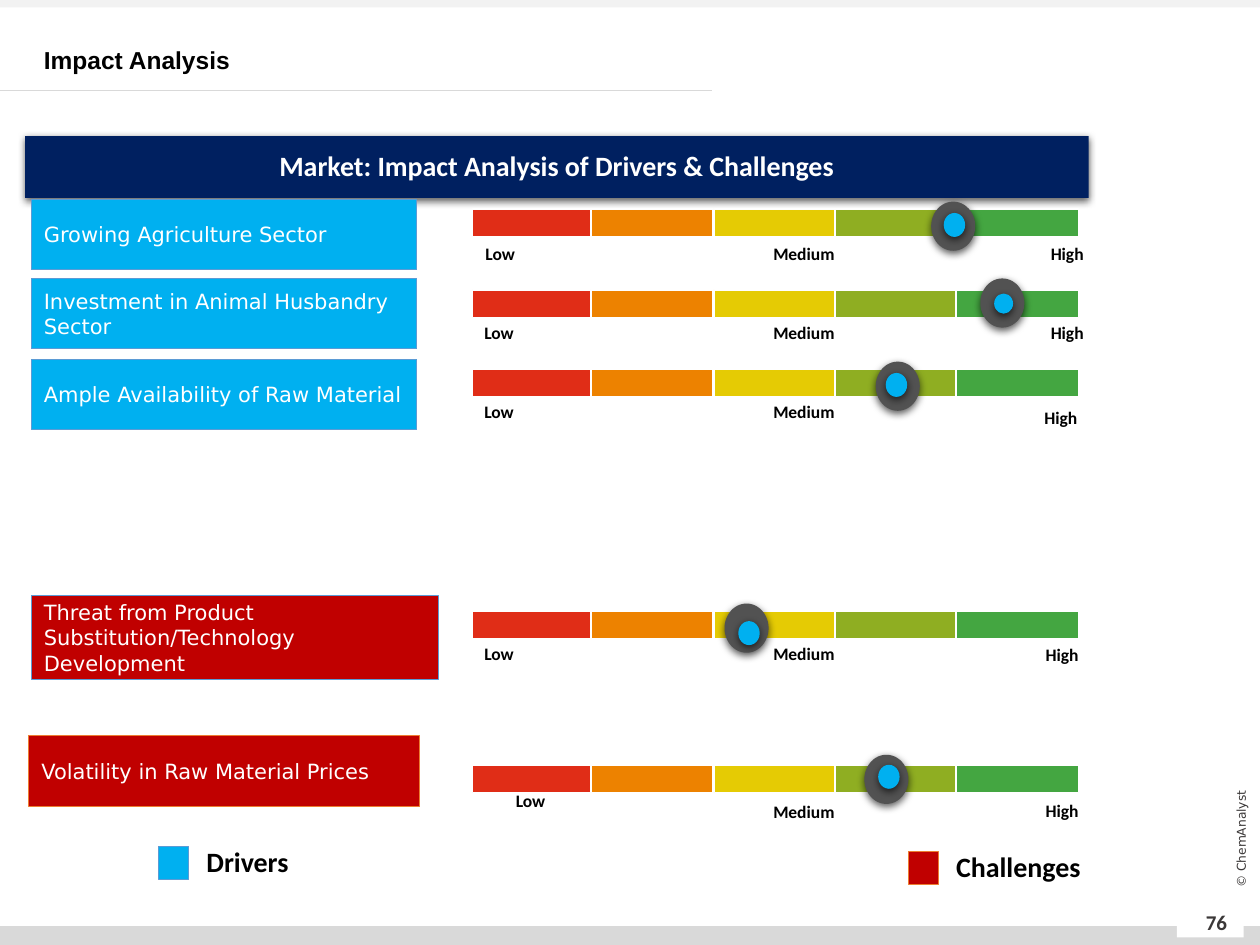
from lxml import etree
from pptx import Presentation
from pptx.dml.color import RGBColor
from pptx.enum import shapes, text
from pptx.oxml.ns import qn
from pptx.util import Inches, Pt

BLUE, RED, NAVY = "00B0F0", "C00000", "002060"
BLUE_EDGE, ORANGE_EDGE = "5B9BD5", "ED7D31"
SANS, BODY = "DejaVu Sans", "Calibri"
RECT, OVAL = shapes.MSO_SHAPE.RECTANGLE, shapes.MSO_SHAPE.OVAL
LEFT, CENTER = text.PP_ALIGN.LEFT, text.PP_ALIGN.CENTER
TOP, MIDDLE = text.MSO_ANCHOR.TOP, text.MSO_ANCHOR.MIDDLE

BAR_COLORS = ["E02D17", "ED8200", "E5CB04", "8FAE22", "44A641"]
BAR_LEFT, BAR_STEP, BAR_W, BAR_H = 3.75, 0.96, 0.97, 0.22
SCALE = ["Low", "Medium", "High"]

# factor, fill, edge, box, bar top, scale label positions, marker, marker centre
ROWS = [
    ("Growing Agriculture Sector", BLUE, BLUE_EDGE, (0.25, 1.58, 3.06, 0.56), 1.66,
     [(3.6, 1.88), (6.01, 1.88), (8.1, 1.88)], (7.39, 1.6), (7.49, 1.69, 0.17, 0.19)),
    ("Investment in Animal Husbandry Sector", BLUE, BLUE_EDGE, (0.25, 2.21, 3.06, 0.56), 2.3,
     [(3.59, 2.51), (6.01, 2.51), (8.1, 2.51)], (7.78, 2.21), (7.89, 2.33, 0.15, 0.16)),
    ("Ample Availability of Raw Material", BLUE, BLUE_EDGE, (0.25, 2.85, 3.06, 0.56), 2.93,
     [(3.59, 3.13), (6.01, 3.13), (8.05, 3.18)], (6.95, 2.87), (7.03, 2.96, 0.17, 0.19)),
    ("Threat from Product Substitution/Technology Development", RED, BLUE_EDGE,
     (0.25, 4.73, 3.23, 0.66), 4.85,
     [(3.59, 5.05), (6.01, 5.05), (8.06, 5.06)], (5.75, 4.79), (5.86, 4.93, 0.17, 0.19)),
    ("Volatility in Raw Material Prices", RED, ORANGE_EDGE, (0.23, 5.84, 3.1, 0.56), 6.07,
     [(3.84, 6.22), (6.01, 6.31), (8.06, 6.3)], (6.86, 5.99), (6.97, 6.07, 0.17, 0.19)),
]
LEGEND = [
    ("Drivers", BLUE, BLUE_EDGE, (1.26, 6.72, 0.24, 0.26), (1.54, 6.65, 0.91, 0.42)),
    ("Challenges", RED, ORANGE_EDGE, (7.21, 6.76, 0.24, 0.26), (7.49, 6.69, 1.3, 0.37)),
]
FRAME = [("D9D9D9", (0, 7.35, 10, 0.15)), ("F2F2F2", (0, 0, 10, 0.06)),
         ("FFFFFF", (9.34, 7.22, 0.53, 0.22))]

prs = Presentation()
prs.slide_width, prs.slide_height = Inches(10), Inches(7.5)
s = prs.slides.add_slide(prs.slide_layouts[6])


def rgb(color):
    return RGBColor.from_string(color)


def write(sp, words, size, font, color, bold=False, align=LEFT, anchor=TOP, spacing=None):
    tf = sp.text_frame
    tf.word_wrap = True
    tf.vertical_anchor = anchor
    p = tf.paragraphs[0]
    p.alignment = align
    if spacing:
        p.line_spacing = spacing
    r = p.add_run()
    r.text = words
    r.font.size, r.font.name, r.font.bold = Pt(size), font, bold
    r.font.color.rgb = rgb(color)


def add_label(box, *args, **style):
    sp = s.shapes.add_textbox(*map(Inches, box))
    write(sp, *args, **style)
    return sp


def add_block(box, fill, edge=None, width=0.5, kind=RECT, shadow=False):
    sp = s.shapes.add_shape(kind, *map(Inches, box))
    sp.shadow.inherit = False
    sp.fill.solid()
    sp.fill.fore_color.rgb = rgb(fill)
    if edge:
        sp.line.color.rgb = rgb(edge)
        sp.line.width = Pt(width)
    else:
        sp.line.fill.background()
    if shadow:
        effects = sp._element.spPr.find(qn("a:effectLst"))
        outer = etree.SubElement(effects, qn("a:outerShdw"), blurRad=str(Pt(4.5)),
                                 dist=str(Pt(1.5)), dir="5400000", rotWithShape="0")
        shade = etree.SubElement(outer, qn("a:srgbClr"), val="000000")
        etree.SubElement(shade, qn("a:alpha"), val="63000")
    return sp


# Page frame
for fill, box in FRAME:
    add_block(box, fill)
rule = s.shapes.add_connector(shapes.MSO_CONNECTOR.STRAIGHT,
                              Inches(0), Inches(0.72), Inches(5.65), Inches(0.72))
rule.line.color.rgb = rgb("D9D9D9")
rule.line.width = Pt(0.5)
etree.SubElement(rule._element.spPr, qn("a:effectLst"))
add_label((9.41, 7.12, 0.49, 0.4), "76", 12, BODY, "3B3838",
          bold=True, align=CENTER, anchor=MIDDLE)
notice = add_label((9.25, 6.58, 1.2, 0.16), "© ChemAnalyst", 7, SANS, "3B3838",
                   align=CENTER, anchor=MIDDLE)
notice.rotation = 270

# Title and banner
add_label((0.25, 0.31, 9.5, 0.32), "Impact Analysis", 14, "Arial", "000000",
          bold=True, anchor=MIDDLE, spacing=Pt(17))
banner = add_block((0.2, 1.08, 8.44, 0.49), NAVY, shadow=True)
write(banner, "Market: Impact Analysis of Drivers & Challenges", 16, BODY, "FFFFFF",
      bold=True, align=CENTER, anchor=MIDDLE, spacing=0.9)

for name, fill, edge, swatch, box in LEGEND:
    add_block(swatch, fill, edge)
    add_label(box, name, 16, BODY, "000000", bold=True)

# One rated scale per factor
for factor, fill, edge, box, bar_top, label_spots, marker, centre in ROWS:
    for i, color in enumerate(BAR_COLORS):
        left = BAR_LEFT + i * BAR_STEP - (0.02 if i == 1 else 0)
        add_block((left, bar_top, BAR_W, BAR_H), color, "FFFFFF", 1)
    for word, spot in zip(SCALE, label_spots):
        add_label((*spot, 0.74, 0.25), word, 10, BODY, "000000", bold=True, align=CENTER)
    write(add_block(box, fill, edge), factor, 12, SANS, "FFFFFF", anchor=MIDDLE)
    add_block((*marker, 0.35, 0.39), "525252", kind=OVAL, shadow=True)
    add_block(centre, BLUE, kind=OVAL, shadow=True)

prs.save("out.pptx")
